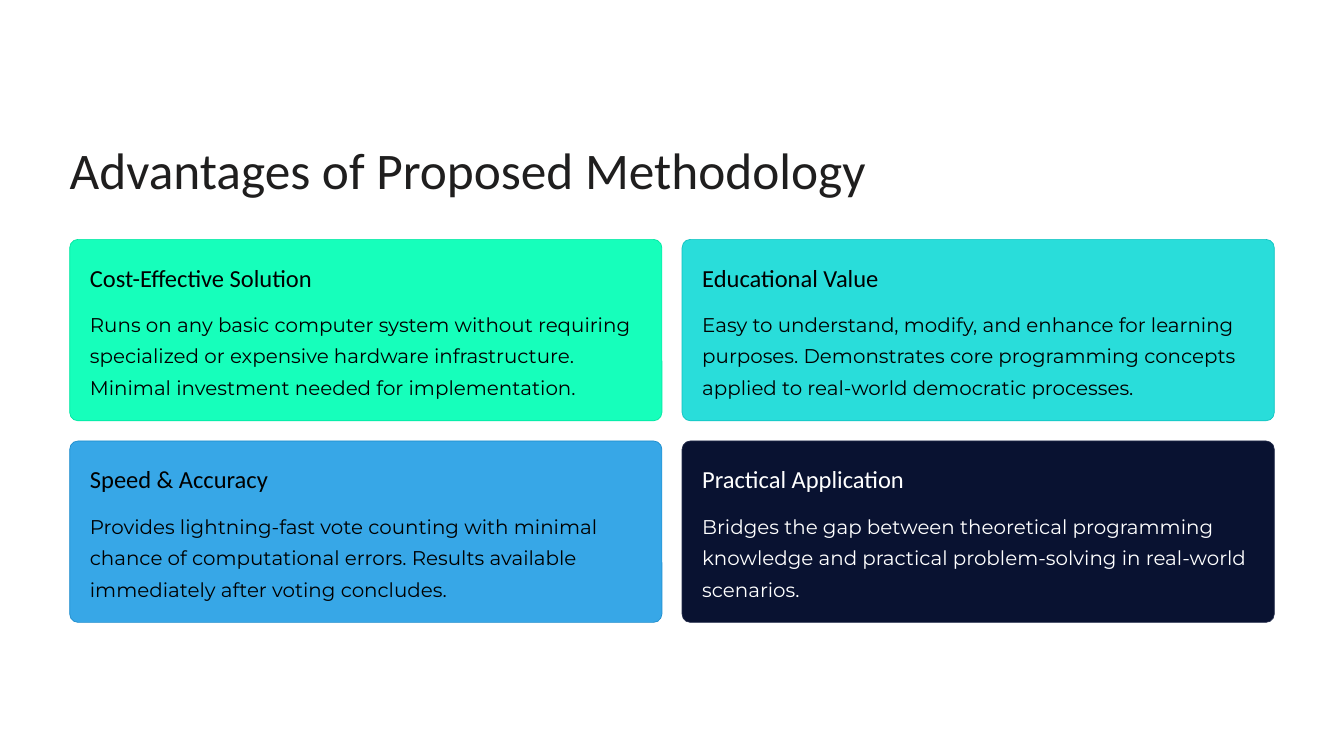
from dataclasses import dataclass

from pptx import Presentation
from pptx import util as u
from pptx.dml.color import RGBColor
from pptx.enum import shapes, text


@dataclass(frozen=True)
class Theme:
    heading_font: str = "Calibri"
    body_font: str = "Montserrat"
    title_size: int = 44
    heading_size: int = 21
    body_size: int = 17
    title_color: str = "1F1E1E"
    dark_text: str = "000000"
    light_text: str = "FFFFFF"
    green: tuple = ("16FFBB", "00E5A1")  # fill, outline
    teal: tuple = ("29DDDA", "0FC3C0")
    blue: tuple = ("37A7E7", "1D8DCD")
    navy: tuple = ("091231", "222B4A")


theme = Theme()

presentation = Presentation()
presentation.slide_width = u.Inches(16)
presentation.slide_height = u.Inches(9)
slide = presentation.slides.add_slide(presentation.slide_layouts[6])


def add_text(words, left, top, width, height, font, size, color, spacing, wrap=False):
    box = slide.shapes.add_textbox(
        u.Inches(left), u.Inches(top), u.Inches(width), u.Inches(height))
    frame = box.text_frame
    frame.margin_left = frame.margin_right = 0
    frame.margin_top = frame.margin_bottom = 0
    frame.vertical_anchor = text.MSO_ANCHOR.TOP
    frame.word_wrap = wrap
    frame.text = words
    paragraph = frame.paragraphs[0]
    paragraph.line_spacing = u.Pt(spacing)
    run = paragraph.runs[0]
    run.font.name = font
    run.font.size = u.Pt(size)
    run.font.color.rgb = RGBColor.from_string(color)


# Title
margin = 0.83
add_text("Advantages of Proposed Methodology", margin, 1.6, 12.08, 0.78,
         theme.heading_font, theme.title_size, theme.title_color, 56)

# Advantage cards in a two by two grid
cards = [
    ("Cost-Effective Solution",
     "Runs on any basic computer system without requiring specialized or expensive "
     "hardware infrastructure. Minimal investment needed for implementation.",
     theme.green, theme.dark_text, 3.62),
    ("Educational Value",
     "Easy to understand, modify, and enhance for learning purposes. Demonstrates core "
     "programming concepts applied to real-world democratic processes.",
     theme.teal, theme.dark_text, 3.12),
    ("Speed & Accuracy",
     "Provides lightning-fast vote counting with minimal chance of computational errors. "
     "Results available immediately after voting concludes.",
     theme.blue, theme.dark_text, 3.12),
    ("Practical Application",
     "Bridges the gap between theoretical programming knowledge and practical "
     "problem-solving in real-world scenarios.",
     theme.navy, theme.light_text, 3.31),
]
grid_top = 2.85
card_width, card_height = 7.05, 2.16
gap = padding = 0.24

for index, (heading, body, (fill, outline), color, heading_width) in enumerate(cards):
    row, column = divmod(index, 2)
    left = margin + column * (card_width + gap)
    top = grid_top + row * (card_height + gap)

    # Card background
    card = slide.shapes.add_shape(
        shapes.MSO_SHAPE.ROUNDED_RECTANGLE,
        u.Inches(left), u.Inches(top), u.Inches(card_width), u.Inches(card_height))
    card.adjustments[0] = 0.046
    card.shadow.inherit = False
    card.fill.solid()
    card.fill.fore_color.rgb = RGBColor.from_string(fill)
    card.line.color.rgb = RGBColor.from_string(outline)
    card.line.width = u.Pt(0.6)

    # Card text
    add_text(heading, left + padding, top + padding, heading_width, 0.39,
             theme.heading_font, theme.heading_size, color, 28)
    add_text(body, left + padding, top + 0.78, card_width - 2 * padding, 1.14,
             theme.body_font, theme.body_size, color, 27, wrap=True)

presentation.save("out.pptx")
